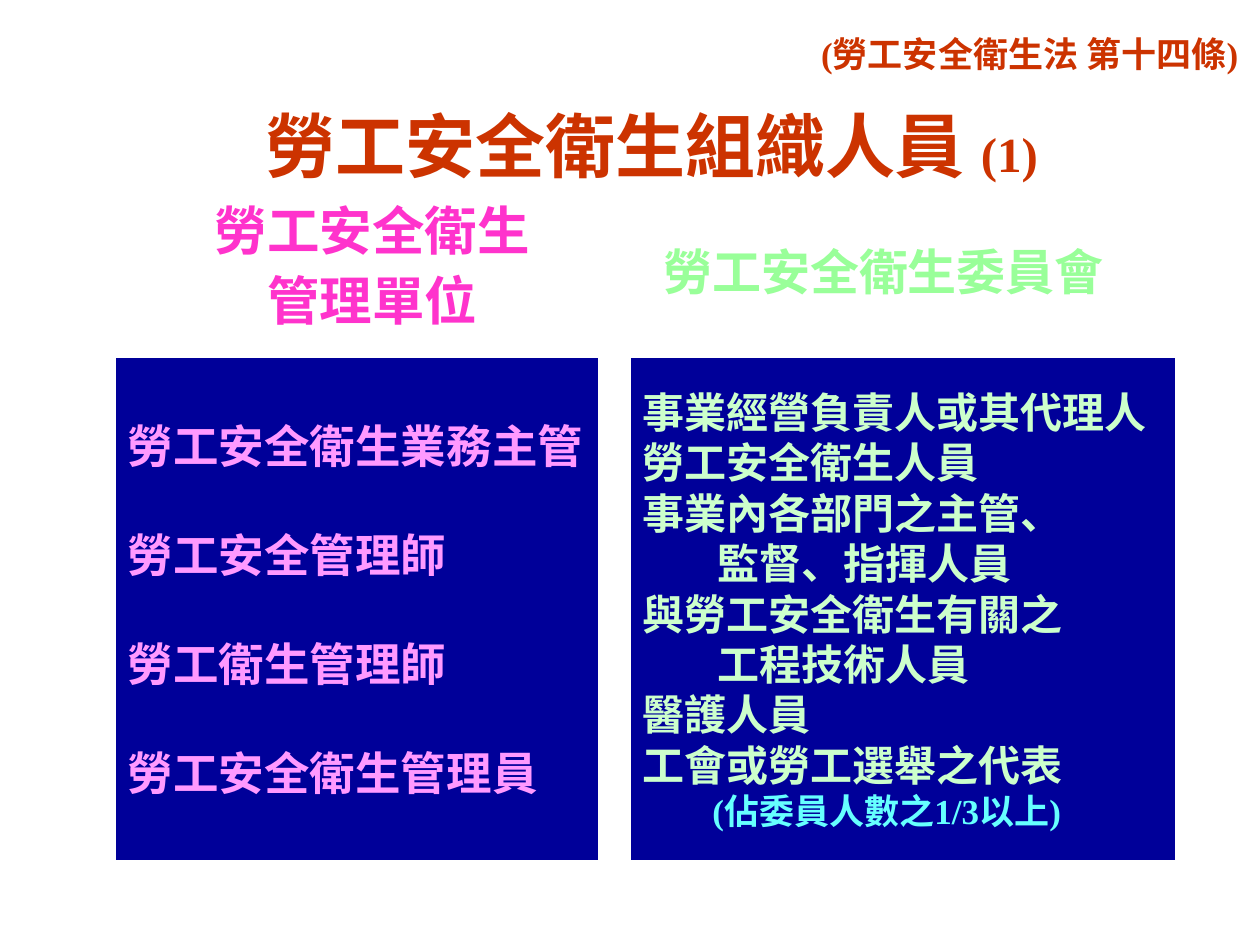
from dataclasses import dataclass

from pptx import Presentation
from pptx.dml.color import RGBColor
from pptx.enum.shapes import MSO_SHAPE as Shape
from pptx.enum.text import MSO_ANCHOR as Anchor, MSO_AUTO_SIZE as AutoSize, PP_ALIGN as Align
from pptx.util import Pt

FONT = "Times New Roman"
RED, MAGENTA, GREEN = "CC3300", "FF33CC", "99FF99"
PINK, MINT, CYAN = "FF99FF", "CCFFCC", "66FFFF"
NAVY, WHITE = "000099", "FFFFFF"
PANEL_TOP, PANEL_HEIGHT = 204, 288


@dataclass
class Run:
    text: str
    size: float
    color: str


@dataclass
class Line:
    runs: list[Run]
    indent: float = 0


@dataclass
class Block:
    left: float
    top: float
    width: float
    height: float
    lines: list[Line]
    gap: float = 0
    spacing: float = 1.0
    align: Align = Align.LEFT
    anchor: Anchor = Anchor.TOP
    wrap: bool = True
    grow: bool = False


def rgb(value: str) -> RGBColor:
    return RGBColor.from_string(value)


def lines_of(texts: list[str], size: float, color: str) -> list[Line]:
    return [Line([Run(text, size, color)]) for text in texts]


def write(frame, block: Block) -> None:
    frame.word_wrap = block.wrap
    frame.vertical_anchor = block.anchor
    frame.auto_size = AutoSize.SHAPE_TO_FIT_TEXT if block.grow else AutoSize.NONE
    for number, line in enumerate(block.lines):
        paragraph = frame.add_paragraph() if number else frame.paragraphs[0]
        paragraph.alignment = block.align
        paragraph.line_spacing = block.spacing
        if number:
            paragraph.space_before = Pt(block.gap)
        if line.indent:
            paragraph._p.get_or_add_pPr().set("marL", str(Pt(line.indent)))
        for part in line.runs:
            run = paragraph.add_run()
            run.text = part.text
            run.font.name = FONT
            run.font.size = Pt(part.size)
            run.font.bold = True
            run.font.color.rgb = rgb(part.color)


def bounds(block: Block) -> list[Pt]:
    return [Pt(n) for n in (block.left, block.top, block.width, block.height)]


def draw_text(slide, block: Block) -> None:
    write(slide.shapes.add_textbox(*bounds(block)).text_frame, block)


def draw_panel(slide, block: Block) -> None:
    panel = slide.shapes.add_shape(Shape.RECTANGLE, *bounds(block))
    panel.shadow.inherit = False
    panel.fill.solid()
    panel.fill.fore_color.rgb = rgb(NAVY)
    panel.line.color.rgb = rgb(WHITE)
    panel.line.width = Pt(0.75)
    write(panel.text_frame, block)


def main() -> None:
    deck = Presentation()
    deck.slide_width, deck.slide_height = Pt(720), Pt(540)
    slide = deck.slides.add_slide(deck.slide_layouts[6])

    # Title and the two column headings
    title = Line([Run("勞工安全衛生組織人員 ", 40, RED), Run("(1)", 28, RED)])
    draw_text(slide, Block(144.7, 54.7, 474.5, 55.4, [title], anchor=Anchor.BOTTOM))
    unit = lines_of(["勞工安全衛生", "管理單位"], 30, MAGENTA)
    draw_text(slide, Block(59.8, 113.8, 306, 84.2, unit, gap=7.5, spacing=0.9,
                           align=Align.CENTER))
    committee = lines_of(["勞工安全衛生委員會"], 28, GREEN)
    draw_text(slide, Block(372, 138, 288, 48, committee, spacing=0.9))

    # Management unit staff
    staff = lines_of(["勞工安全衛生業務主管", "勞工安全管理師", "勞工衛生管理師",
                      "勞工安全衛生管理員"], 26, PINK)
    draw_panel(slide, Block(66, PANEL_TOP, 276, PANEL_HEIGHT, staff, gap=31,
                            anchor=Anchor.MIDDLE, wrap=False))

    # Committee members; continuation lines are indented
    members = lines_of(["事業經營負責人或其代理人", "勞工安全衛生人員",
                        "事業內各部門之主管、", "監督、指揮人員",
                        "與勞工安全衛生有關之", "工程技術人員",
                        "醫護人員", "工會或勞工選舉之代表"], 24, MINT)
    for continuation in (members[3], members[5]):
        continuation.indent = 43
    members.append(Line([Run("(佔委員人數之1/3以上)", 20, CYAN)], indent=40))
    draw_panel(slide, Block(360, PANEL_TOP, 312, PANEL_HEIGHT, members,
                            anchor=Anchor.MIDDLE, wrap=False))

    # Legal reference
    law = lines_of(["(勞工安全衛生法 第十四條)"], 20, RED)
    draw_text(slide, Block(462.2, 15.1, 262.8, 31.7, law, wrap=False, grow=True))

    deck.save("out.pptx")


if __name__ == "__main__":
    main()
